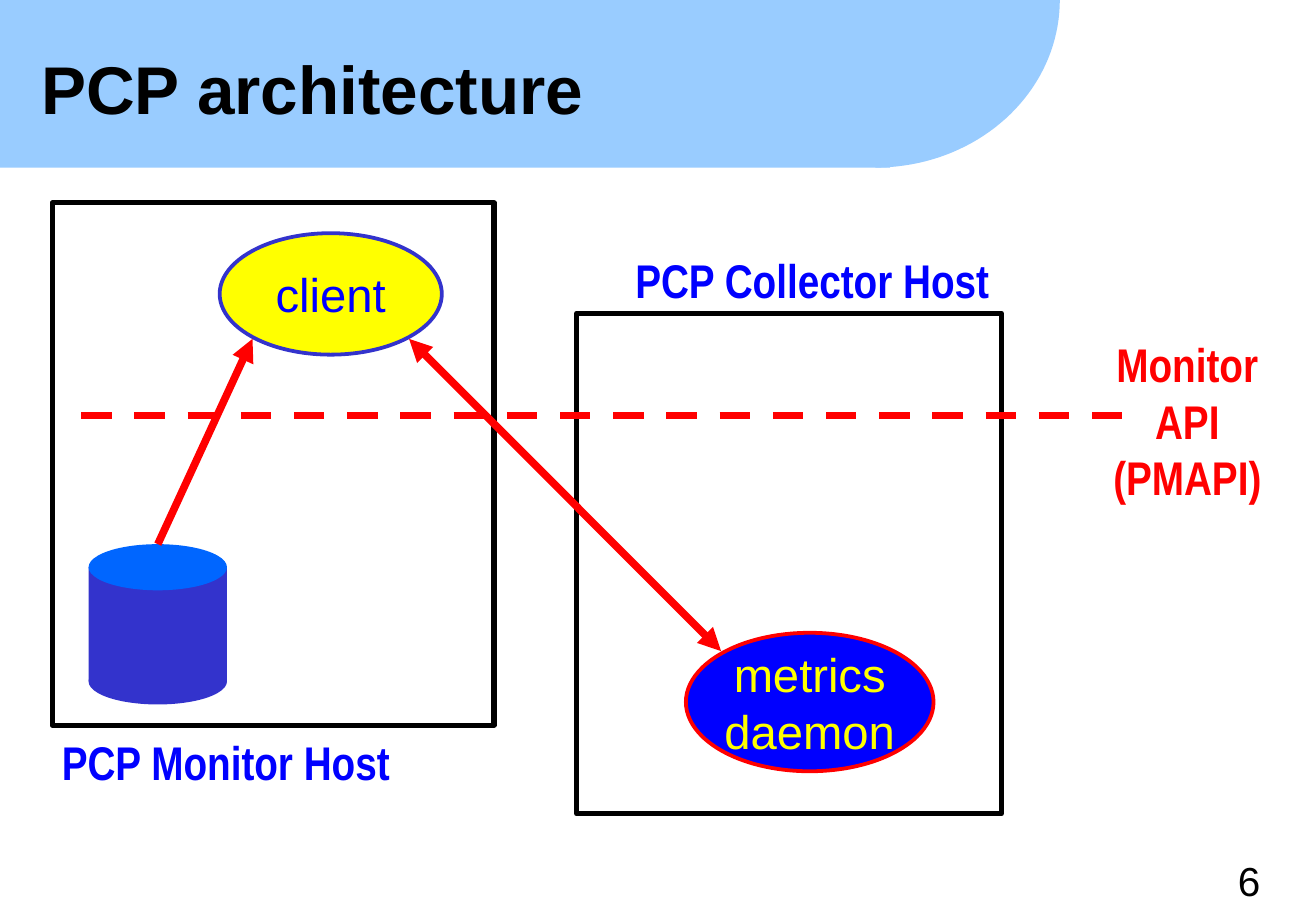
from dataclasses import dataclass
from math import cos, pi, sin
from typing import Optional

from lxml import etree
from pptx import Presentation
from pptx import util as u
from pptx.dml.color import RGBColor
from pptx.enum import dml, shapes, text
from pptx.oxml import ns

PX = 9144  # 100 px to the inch

BLACK = RGBColor(0x00, 0x00, 0x00)
WHITE = RGBColor(0xFF, 0xFF, 0xFF)
SKY = RGBColor(0x99, 0xCC, 0xFF)
BLUE = RGBColor(0x00, 0x00, 0xFF)
INDIGO = RGBColor(0x33, 0x33, 0xCC)
AZURE = RGBColor(0x00, 0x66, 0xFF)
RED = RGBColor(0xFF, 0x00, 0x00)
YELLOW = RGBColor(0xFF, 0xFF, 0x00)

RECT = shapes.MSO_SHAPE.RECTANGLE
OVAL = shapes.MSO_SHAPE.OVAL
Box = tuple[int, int, int, int]


@dataclass
class Font:
    name: str
    size: int
    color: RGBColor
    bold: bool = False


@dataclass
class Block:
    kind: int
    box: Box
    fill: RGBColor
    edge: Optional[RGBColor] = None
    width: float = 0
    lines: tuple[str, ...] = ()
    font: Optional[Font] = None


@dataclass
class Label:
    box: Box
    lines: tuple[str, ...]
    font: Font
    wrap: bool = False


@dataclass
class Link:
    ends: Box
    marks: tuple[str, ...] = ()
    dash: bool = False


def emu(box: Box) -> list[int]:
    return [v * PX for v in box]


def write(frame, lines: tuple[str, ...], font: Font, align, wrap: bool = False) -> None:
    frame.word_wrap = wrap
    for i, line in enumerate(lines):
        para = frame.add_paragraph() if i else frame.paragraphs[0]
        para.alignment = align
        run = para.add_run()
        run.text = line
        run.font.name = font.name
        run.font.size = u.Pt(font.size)
        run.font.bold = font.bold
        run.font.color.rgb = font.color


def paint(shape, fill: RGBColor, edge: Optional[RGBColor] = None, width: float = 0) -> None:
    shape.shadow.inherit = False
    shape.fill.solid()
    shape.fill.fore_color.rgb = fill
    if edge is None:
        shape.line.fill.background()
    else:
        shape.line.color.rgb = edge
        shape.line.width = u.Pt(width)


def draw_block(slide, item: Block) -> None:
    shape = slide.shapes.add_shape(item.kind, *emu(item.box))
    paint(shape, item.fill, item.edge, item.width)
    if item.font:
        shape.text_frame.vertical_anchor = text.MSO_ANCHOR.MIDDLE
        write(shape.text_frame, item.lines, item.font, text.PP_ALIGN.CENTER)


def draw_label(slide, item: Label) -> None:
    frame = slide.shapes.add_textbox(*emu(item.box)).text_frame
    frame.auto_size = text.MSO_AUTO_SIZE.SHAPE_TO_FIT_TEXT
    write(frame, item.lines, item.font, text.PP_ALIGN.CENTER, item.wrap)


def draw_link(slide, item: Link) -> None:
    link = slide.shapes.add_connector(shapes.MSO_CONNECTOR.STRAIGHT, *emu(item.ends))
    link.line.color.rgb = RED
    link.line.width = u.Pt(4.5)
    if item.dash:
        link.line.dash_style = dml.MSO_LINE.DASH
    for mark in item.marks:
        etree.SubElement(link.line._get_or_add_ln(), ns.qn(f"a:{mark}"), type="triangle")
    etree.SubElement(link._element.spPr, ns.qn("a:effectLst"))


def draw_curve(slide, left: int, wide: int, high: int) -> None:
    steps = 40
    turns = [pi / 2 * i / steps for i in range(steps + 1)]
    arc = [(round((left + wide * cos(t)) * PX), round(high * sin(t) * PX)) for t in turns]
    form = slide.shapes.build_freeform(left * PX, 0)
    form.add_line_segments(arc)
    paint(form.convert_to_shape(), SKY)


def draw_title(slide, words: str) -> None:
    title = slide.shapes.title
    slide.shapes._spTree.append(title._element)  # bring above the banner
    title.left, title.top, title.width, title.height = emu((25, 22, 853, 110))
    frame = title.text_frame
    frame.vertical_anchor = text.MSO_ANCHOR.MIDDLE
    frame.margin_left = frame.margin_right = 9 * PX
    write(frame, (words,), Font("Arial", 40, BLACK, True), text.PP_ALIGN.LEFT, True)
    frame.paragraphs[0].line_spacing = 0.85


HOST = Font("Arial Narrow", 28, BLUE, True)

HOSTS = [
    Block(RECT, (43, 167, 364, 430), WHITE, BLACK, 3),
    Block(RECT, (475, 258, 350, 412), WHITE, BLACK, 3),
]
NODES = [
    # Archive drum
    Block(OVAL, (73, 542, 114, 38), INDIGO),
    Block(RECT, (73, 467, 114, 94), INDIGO),
    Block(OVAL, (73, 448, 114, 38), AZURE),
    # Processes
    Block(OVAL, (565, 521, 204, 114), BLUE, RED, 2.25,
          ("metrics", "daemon"), Font("Arial", 28, YELLOW)),
    Block(OVAL, (181, 192, 183, 100), YELLOW, INDIGO, 2.25,
          ("client",), Font("Arial", 28, BLUE)),
]
LABELS = [
    Label((975, 700, 108, 50), ("6",), Font("Arial", 24, BLACK), True),
    Label((41, 599, 290, 57), ("PCP Monitor Host",), HOST),
    Label((513, 202, 312, 57), ("PCP Collector Host",), HOST),
    Label((907, 271, 142, 150), ("Monitor", "API", "(PMAPI)"),
          Font("Arial Narrow", 28, RED, True)),
]
LINKS = [
    Link((67, 342, 925, 342), dash=True),
    Link((337, 279, 594, 536), ("headEnd", "tailEnd")),
    Link((130, 448, 208, 279), ("tailEnd",)),
]


def main() -> None:
    deck = Presentation()
    deck.slide_width, deck.slide_height = 1084 * PX, 750 * PX
    slide = deck.slides.add_slide(deck.slide_layouts[5])

    # Banner and title
    draw_block(slide, Block(RECT, (0, 0, 733, 138), SKY))
    draw_curve(slide, 721, 152, 138)
    draw_title(slide, "PCP architecture")

    # Diagram
    for block in HOSTS + NODES:
        draw_block(slide, block)
    for link in LINKS:
        draw_link(slide, link)
    for label in LABELS:
        draw_label(slide, label)

    deck.save("out.pptx")


if __name__ == "__main__":
    main()
